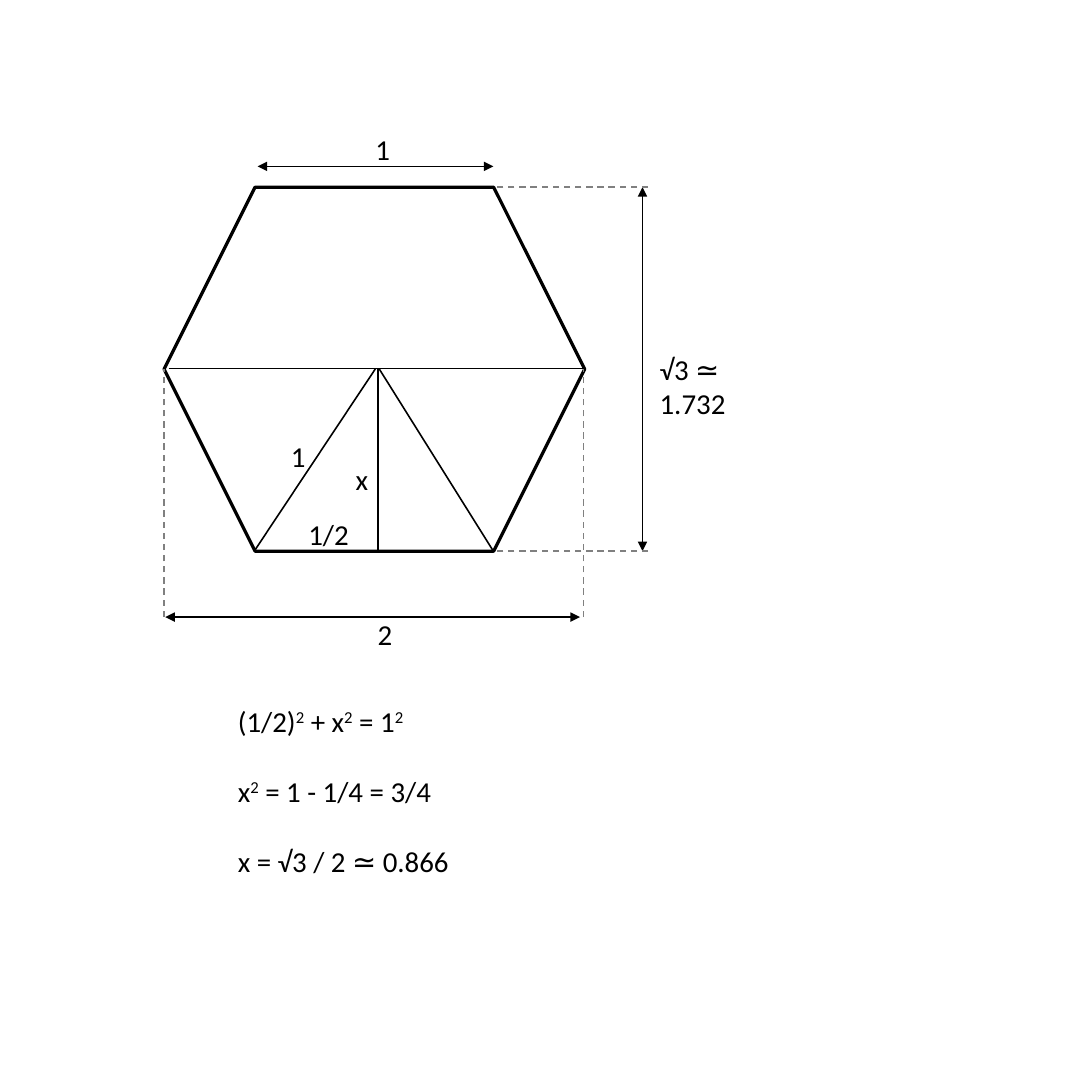
from dataclasses import dataclass

import pptx
import pptx.dml.color
import pptx.enum.dml
import pptx.enum.shapes
import pptx.enum.text
import pptx.oxml.ns
import pptx.util
from lxml import etree
from pptx.shapes.autoshape import Shape
from pptx.slide import Slide
from pptx.util import Inches

BLACK = "000000"
GREY = "808080"

# Hexagon: outer corners, top and bottom sides, centre
LEFT, RIGHT = 1.42, 5.05
TOP, BOTTOM = 1.62, 4.77
MIDDLE = 3.19
SIDE_LEFT, SIDE_RIGHT = 2.2, 4.27
CENTRE = 3.27
WIDTH_LINE = 5.34
HEIGHT_LINE = 5.56
GUIDE_END = 5.61


@dataclass(frozen=True)
class Segment:
    start: tuple[float, float]
    end: tuple[float, float]
    color: str = BLACK
    arrows: bool = False
    dashed: bool = False


@dataclass(frozen=True)
class Label:
    text: str
    left: float
    top: float
    width: float
    wrap: bool = False


SEGMENTS = [
    Segment((2.23, 1.44), (SIDE_RIGHT, 1.44), arrows=True),
    Segment((1.46, MIDDLE), (RIGHT, MIDDLE)),
    Segment((HEIGHT_LINE, BOTTOM), (HEIGHT_LINE, TOP), arrows=True),
    Segment((SIDE_LEFT, BOTTOM), (3.25, MIDDLE)),
    Segment((SIDE_RIGHT, BOTTOM), (3.28, MIDDLE)),
    Segment((CENTRE, BOTTOM), (CENTRE, MIDDLE)),
    Segment((1.43, WIDTH_LINE), (5.02, WIDTH_LINE), arrows=True),
    *(Segment((x, WIDTH_LINE), (x, MIDDLE), GREY, dashed=True) for x in (LEFT, RIGHT)),
    *(Segment((GUIDE_END, y), (SIDE_RIGHT, y), GREY, dashed=True) for y in (TOP, BOTTOM)),
]

LABELS = [
    Label("2", 3.17, 5.29, 0.33),
    Label("1/2", 2.57, 4.42, 0.56),
    Label("1", 2.42, 3.75, 0.33),
    Label("x", 2.98, 3.95, 0.31),
    Label("1", 3.15, 1.09, 0.33),
    Label("√3 ≃ 1.732", 5.61, 2.99, 1.25, wrap=True),
]

# Each equation is a list of (text, is superscript) runs
EQUATIONS = [
    [("(1/2)", False), ("2", True), (" + x", False), ("2", True), (" = 1", False), ("2", True)],
    [("x", False), ("2", True), (" = 1 - 1/4 = 3/4", False)],
    [("x = √3 / 2 ≃ 0.866", False)],
]

FONT_FORMAT = {"name": "Calibri", "size": pptx.util.Pt(18)}


def rgb(color: str) -> pptx.dml.color.RGBColor:
    return pptx.dml.color.RGBColor.from_string(color)


def add_segment(slide: Slide, segment: Segment) -> None:
    connector = slide.shapes.add_connector(
        pptx.enum.shapes.MSO_CONNECTOR.STRAIGHT,
        *(Inches(value) for value in segment.start + segment.end),
    )
    connector.line.width = pptx.util.Pt(1)
    connector.line.color.rgb = rgb(segment.color)
    if segment.dashed:
        connector.line.dash_style = pptx.enum.dml.MSO_LINE.DASH
    qn = pptx.oxml.ns.qn
    properties = connector._element.spPr
    if segment.arrows:
        outline = properties.find(qn("a:ln"))
        for end in ("a:headEnd", "a:tailEnd"):
            etree.SubElement(outline, qn(end), type="triangle")
    etree.SubElement(properties, qn("a:effectLst"))


def add_hexagon(slide: Slide) -> None:
    hexagon = slide.shapes.add_shape(
        pptx.enum.shapes.MSO_SHAPE.HEXAGON,
        Inches(LEFT), Inches(TOP), Inches(3.64), Inches(BOTTOM - TOP),
    )
    hexagon.shadow.inherit = False
    hexagon.fill.background()
    hexagon.line.color.rgb = rgb(BLACK)
    hexagon.line.width = pptx.util.Pt(2)


def add_text_area(slide: Slide, left: float, top: float, width: float,
                  height: float, wrap: bool = False) -> Shape:
    area = slide.shapes.add_textbox(Inches(left), Inches(top), Inches(width), Inches(height))
    area.text_frame.word_wrap = wrap
    area.text_frame.auto_size = pptx.enum.text.MSO_AUTO_SIZE.SHAPE_TO_FIT_TEXT
    return area


def add_run(paragraph: pptx.text.text._Paragraph, text: str, superscript: bool = False) -> None:
    run = paragraph.add_run()
    run.text = text
    for name, value in FONT_FORMAT.items():
        setattr(run.font, name, value)
    run.font.color.rgb = rgb(BLACK)
    if superscript:
        run._r.get_or_add_rPr().set("baseline", "30000")


def add_label(slide: Slide, label: Label) -> None:
    area = add_text_area(slide, label.left, label.top, label.width, 0.4, label.wrap)
    add_run(area.text_frame.paragraphs[0], label.text)


def add_equations(slide: Slide) -> None:
    frame = add_text_area(slide, 1.96, 6.04, 2.03, 1.62).text_frame
    for index, equation in enumerate(EQUATIONS):
        paragraph = frame.add_paragraph() if index else frame.paragraphs[0]
        if index:
            paragraph.space_before = pptx.util.Pt(22)
        for text, superscript in equation:
            add_run(paragraph, text, superscript)


def main() -> None:
    presentation = pptx.Presentation()
    presentation.slide_width = presentation.slide_height = Inches(9.45)
    slide = presentation.slides.add_slide(presentation.slide_layouts[6])
    add_hexagon(slide)
    for segment in SEGMENTS:
        add_segment(slide, segment)
    for label in LABELS:
        add_label(slide, label)
    add_equations(slide)
    presentation.save("out.pptx")


if __name__ == "__main__":
    main()
